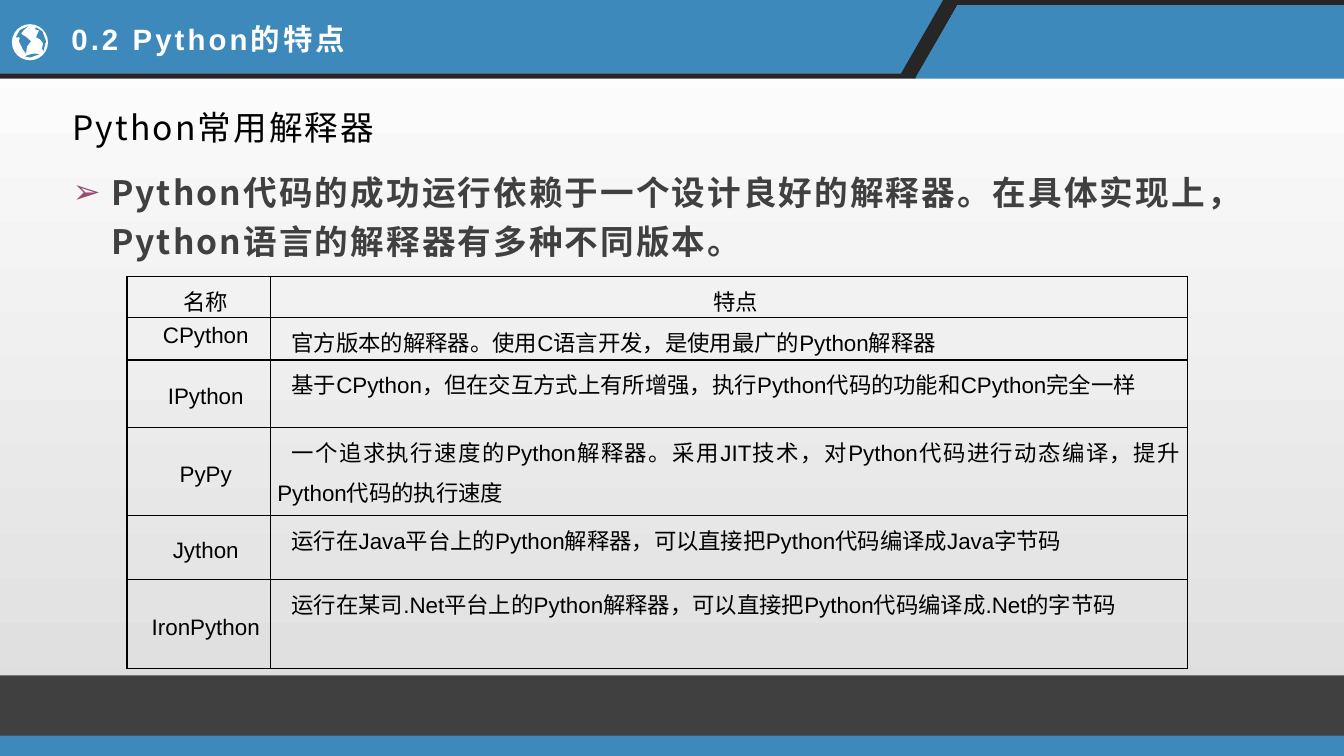
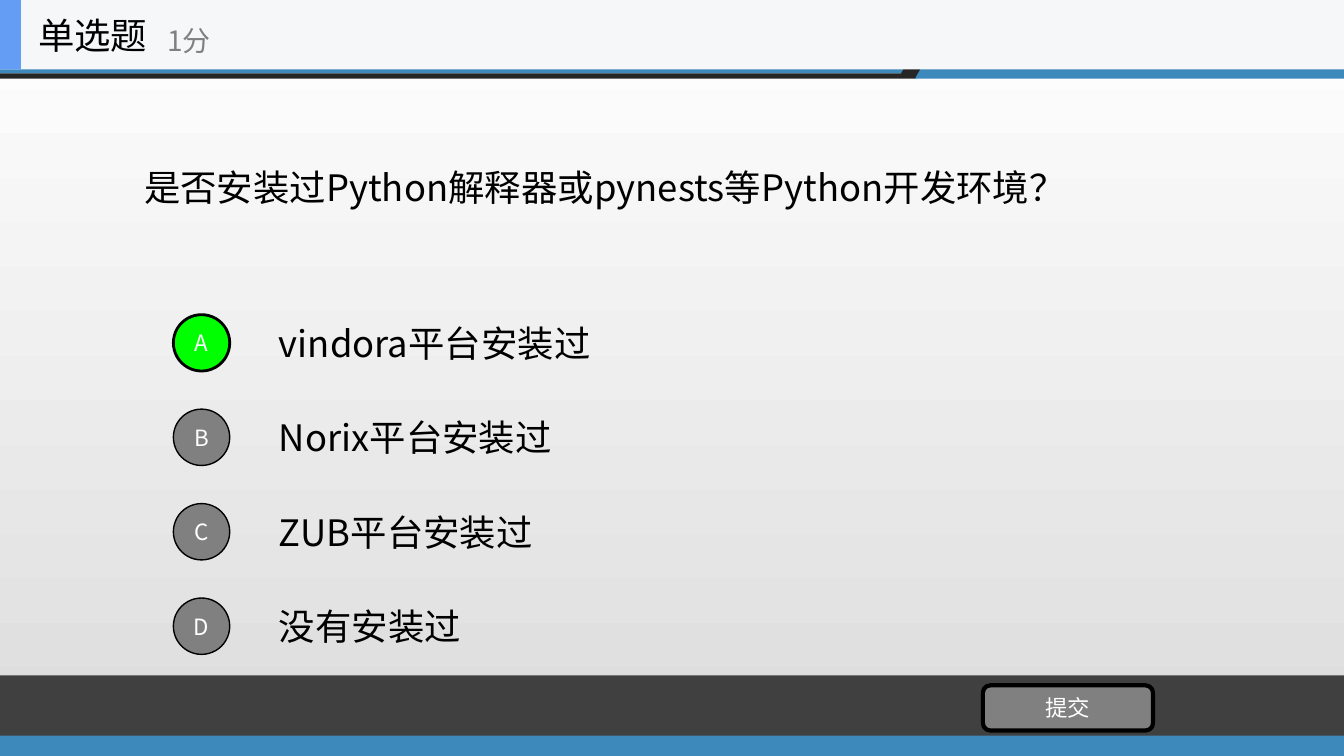
"""Build two lesson slides: a table of Python interpreters and a quiz question."""
from typing import NamedTuple

from lxml.etree import SubElement
from pptx import Presentation
from pptx.dml.color import RGBColor
from pptx.enum.shapes import MSO_SHAPE as Shape
from pptx.enum.text import MSO_ANCHOR as Anchor, PP_ALIGN as Align
from pptx.oxml import parse_xml
from pptx.oxml.ns import nsdecls, qn
from pptx.util import Cm, Pt

BLUE, INK, GREY, WHITE, BLACK = "3D89BC", "262626", "808080", "FFFFFF", "000000"
CHARCOAL, PLUM, GREEN, PALE, SKY = "404040", "954F72", "00FF00", "F6F7F8", "639EF4"
SANS, CJK = "Arial", "Noto Sans CJK SC"

INTERPRETERS = [
    ("名称", "特点"),
    ("CPython", "官方版本的解释器。使用C语言开发，是使用最广的Python解释器"),
    ("IPython", "基于CPython，但在交互方式上有所增强，执行Python代码的功能和CPython完全一样"),
    ("PyPy", "一个追求执行速度的Python解释器。采用JIT技术，对Python代码进行动态编译，"
             "提升Python代码的执行速度"),
    ("Jython", "运行在Java平台上的Python解释器，可以直接把Python代码编译成Java字节码"),
    ("IronPython", "运行在某司.Net平台上的Python解释器，可以直接把Python代码编译成.Net的字节码"),
]
COLUMN_WIDTHS = [3.61, 23.11]
ROW_HEIGHTS = [1.04, 1.07, 1.7, 2.21, 1.63, 2.24]
ANSWERS = ["vindora平台安装过", "Norix平台安装过", "ZUB平台安装过", "没有安装过"]
CONTINENTS = [
    [(0.86, 0.43), (0.79, 0.69), (0.76, 0.61), (0.79, 0.48), (0.71, 0.38),
     (0.61, 0.33), (0.69, 0.15), (0.58, 0.13), (0.61, 0.08), (0.77, 0.18)],
    [(0.41, 0.05), (0.3, 0.15), (0.23, 0.23), (0.28, 0.28), (0.33, 0.3),
     (0.48, 0.43), (0.38, 0.56), (0.36, 0.74), (0.28, 0.64), (0.18, 0.43),
     (0.2, 0.33), (0.1, 0.33), (0.2, 0.15)],
    [(0.33, 0.81), (0.46, 0.76), (0.58, 0.74), (0.69, 0.76), (0.46, 0.84)],
]


class Box(NamedTuple):
    """A rectangle in centimetres."""
    x: float
    y: float
    w: float
    h: float

    def inner(self, x, y, w, h):
        """Return a box placed relative to this one."""
        return Box(self.x + x, self.y + y, w, h)

    def lengths(self):
        """Return left, top, width and height as lengths."""
        return [Cm(side) for side in self]


PAGE = Box(0, 0, 33.87, 19.05)


def color(value):
    """Turn a hex string into a colour."""
    return RGBColor.from_string(value)


def paint(shape, fill, line=None, width=1):
    """Set the fill and outline of a shape and drop its shadow."""
    shape.shadow.inherit = False
    shape.fill.solid()
    shape.fill.fore_color.rgb = color(fill)
    if line:
        shape.line.color.rgb = color(line)
        shape.line.width = Pt(width)
    else:
        shape.line.fill.background()
    return shape


def add_block(page, kind, box, fill, **outline):
    """Add a painted preset shape."""
    return paint(page.shapes.add_shape(kind, *box.lengths()), fill, **outline)


def add_outline(page, box, points, fill):
    """Add a closed polygon whose points are relative to the box."""
    corners = [(Cm(box.x + x), Cm(box.y + y)) for x, y in points]
    builder = page.shapes.build_freeform(*corners[0], scale=1.0)
    builder.add_line_segments(corners[1:], close=True)
    return paint(builder.convert_to_shape(), fill)


def write(para, text, size=16, font=CJK, ink=BLACK, bold=False, spacing=0, align=Align.LEFT,
          leading=None, gap=None, margin=0, indent=0, bullet=None):
    """Write formatted text into a paragraph."""
    para.alignment = align
    if leading:
        para.line_spacing = leading
    if gap is not None:
        para.space_before = para.space_after = Pt(gap)
    props = para._p.get_or_add_pPr()
    props.set("marL", str(Cm(margin)))
    props.set("indent", str(Cm(indent)))
    if bullet:
        tint = SubElement(props, qn("a:buClr"))
        SubElement(tint, qn("a:srgbClr")).set("val", PLUM)
        SubElement(props, qn("a:buFont")).set("typeface", SANS)
        SubElement(props, qn("a:buChar")).set("char", bullet)
    span = para.add_run()
    span.text = text
    span.font.size, span.font.bold, span.font.name = Pt(size), bold, font
    span.font.color.rgb = color(ink)
    run_props = span._r.get_or_add_rPr()
    SubElement(run_props, qn("a:ea")).set("typeface", CJK)
    if spacing:
        run_props.set("spc", str(round(spacing * 100)))


def add_text(page, box, text, **style):
    """Add a vertically centred text box with one paragraph."""
    frame = page.shapes.add_textbox(*box.lengths()).text_frame
    frame.word_wrap = True
    frame.vertical_anchor = Anchor.MIDDLE
    write(frame.paragraphs[0], text, **style)


def add_button(page, kind, box, label, fill, width):
    """Add an outlined shape with a centred white label."""
    frame = add_block(page, kind, box, fill, line=BLACK, width=width).text_frame
    frame.margin_left = frame.margin_right = 0
    frame.vertical_anchor = Anchor.MIDDLE
    write(frame.paragraphs[0], label, ink=WHITE, align=Align.CENTER)


def add_header(page, box):
    """Draw the slanted band at the top."""
    right = box.w
    add_outline(page, box, [(0, 0), (23.88, 0), (22.83, 1.85), (0, 1.85)], BLUE)
    add_outline(page, box, [(24.03, 0), (right, 0), (right, 0.13), (24.13, 0.13), (23.09, 1.98),
                            (0, 1.98), (0, 1.85), (22.71, 1.85), (23.77, 0)], INK)
    add_outline(page, box, [(24.13, 0.13), (right, 0.13), (right, 1.98), (23.06, 1.98)], BLUE)


def add_footer(page, box):
    """Draw the two bands at the bottom."""
    add_block(page, Shape.RECTANGLE, box.inner(0, 1.5, box.w, 0.53), BLUE)
    add_block(page, Shape.RECTANGLE, box.inner(0, 0, box.w, 1.52), CHARCOAL)


def add_page(deck):
    """Add a blank page with the shared bands."""
    page = deck.slides.add_slide(deck.slide_layouts[6])
    add_header(page, PAGE.inner(0, 0, PAGE.w, 1.98))
    add_footer(page, PAGE.inner(0, 17.02, PAGE.w, 2.03))
    return page


def add_globe(page, box):
    """Draw a small globe icon."""
    add_block(page, Shape.OVAL, box, WHITE)
    for continent in CONTINENTS:
        add_outline(page, box, continent, BLUE)


def add_body(page, box):
    """Write the subheading and the bulleted statement."""
    frame = page.shapes.add_textbox(*box.lengths()).text_frame
    frame.word_wrap = True
    frame.margin_left, frame.margin_right = Cm(0.28), Cm(0.23)
    frame.margin_top = frame.margin_bottom = 0
    shared = dict(size=24, spacing=1.5, leading=1.2, gap=6)
    write(frame.paragraphs[0], "Python常用解释器", **shared)
    write(frame.add_paragraph(),
          "Python代码的成功运行依赖于一个设计良好的解释器。在具体实现上，"
          "Python语言的解释器有多种不同版本。",
          ink=CHARCOAL, bold=True, margin=0.97, indent=-0.97, bullet="➢", **shared)


def frame_cell(cell):
    """Clear the fill of a table cell and rule its four sides."""
    cell.fill.background()
    props = cell._tc.get_or_add_tcPr()
    for place, side in enumerate(("lnL", "lnR", "lnT", "lnB")):
        props.insert(place, parse_xml(
            f'<a:{side} {nsdecls("a")} w="{Pt(1)}"><a:solidFill>'
            f'<a:srgbClr val="{BLACK}"/></a:solidFill></a:{side}>'))


def add_interpreter_table(page, box):
    """Add the ruled table of interpreters."""
    table = page.shapes.add_table(len(INTERPRETERS), len(COLUMN_WIDTHS), *box.lengths()).table
    table.first_row = table.horz_banding = False
    for column, width in zip(table.columns, COLUMN_WIDTHS):
        column.width = Cm(width)
    for row, height in zip(table.rows, ROW_HEIGHTS):
        row.height = Cm(height)
    for r, texts in enumerate(INTERPRETERS):
        for c, text in enumerate(texts):
            cell = table.cell(r, c)
            frame_cell(cell)
            cell.margin_left = cell.margin_right = Cm(0.18)
            cell.margin_top = cell.margin_bottom = 0
            cell.vertical_anchor = Anchor.MIDDLE if c == 0 and r > 1 else Anchor.TOP
            write(cell.text_frame.paragraphs[0], text, font=SANS, leading=1.25, indent=0.36,
                  align=Align.JUSTIFY if c and r else Align.CENTER)


def add_quiz_bar(page, box):
    """Draw the bar with the question type and its points."""
    add_block(page, Shape.RECTANGLE, box, PALE)
    add_block(page, Shape.RECTANGLE, box.inner(0, 0, 0.53, box.h), SKY)
    add_text(page, box.inner(0.71, 0, 5.28, box.h), "单选题", size=26)
    add_text(page, box.inner(3.96, 0.3, 6.35, 1.42), "1分", size=20, ink=GREY)


def add_answers(page, box):
    """Lay out the lettered answers in equal steps, the first one chosen."""
    step = box.h / len(ANSWERS)
    for i, (letter, answer) in enumerate(zip("ABCD", ANSWERS)):
        row = box.inner(0, i * step, box.w, step)
        add_text(page, row.inner(2.41, 0, box.w - 2.41, 1.78), answer, size=26)
        add_button(page, Shape.OVAL, row.inner(0, 0.18, 1.42, 1.42), letter,
                   *((GREY, 1) if i else (GREEN, 2)))


def build_interpreter_page(deck):
    """Build the page about interpreters."""
    page = add_page(deck)
    add_globe(page, PAGE.inner(0.3, 0.61, 0.91, 0.91))
    add_text(page, PAGE.inner(1.55, 0.41, 14.99, 1.14), "0.2 Python的特点",
             size=21, font=SANS, ink=WHITE, bold=True, spacing=2.2)
    add_body(page, PAGE.inner(1.55, 2.49, 31.62, 14.05))
    add_interpreter_table(page, PAGE.inner(3.2, 6.96, sum(COLUMN_WIDTHS), sum(ROW_HEIGHTS)))


def build_quiz_page(deck):
    """Build the single-choice question page."""
    page = add_page(deck)
    add_text(page, PAGE.inner(3.38, 1.75, 27.1, 5.94),
             "是否安装过Python解释器或pynests等Python开发环境？", size=26)
    add_answers(page, PAGE.inner(4.37, 7.75, 26.11, 9.52))
    add_button(page, Shape.ROUNDED_RECTANGLE, PAGE.inner(24.77, 17.27, 4.29, 1.14),
               "提交", GREY, 3)
    add_quiz_bar(page, PAGE.inner(0, 0, PAGE.w, 1.75))


def main():
    """Build and save the deck."""
    deck = Presentation()
    deck.slide_width, deck.slide_height = Cm(PAGE.w), Cm(PAGE.h)
    backdrop = deck.slide_master.background.fill
    backdrop.gradient()
    backdrop.gradient_angle = 270
    for stop, shade, place in zip(backdrop.gradient_stops, (WHITE, "DCDCDC"), (0, 1)):
        stop.color.rgb = color(shade)
        stop.position = place
    build_interpreter_page(deck)
    build_quiz_page(deck)
    deck.save("out.pptx")


if __name__ == "__main__":
    main()
